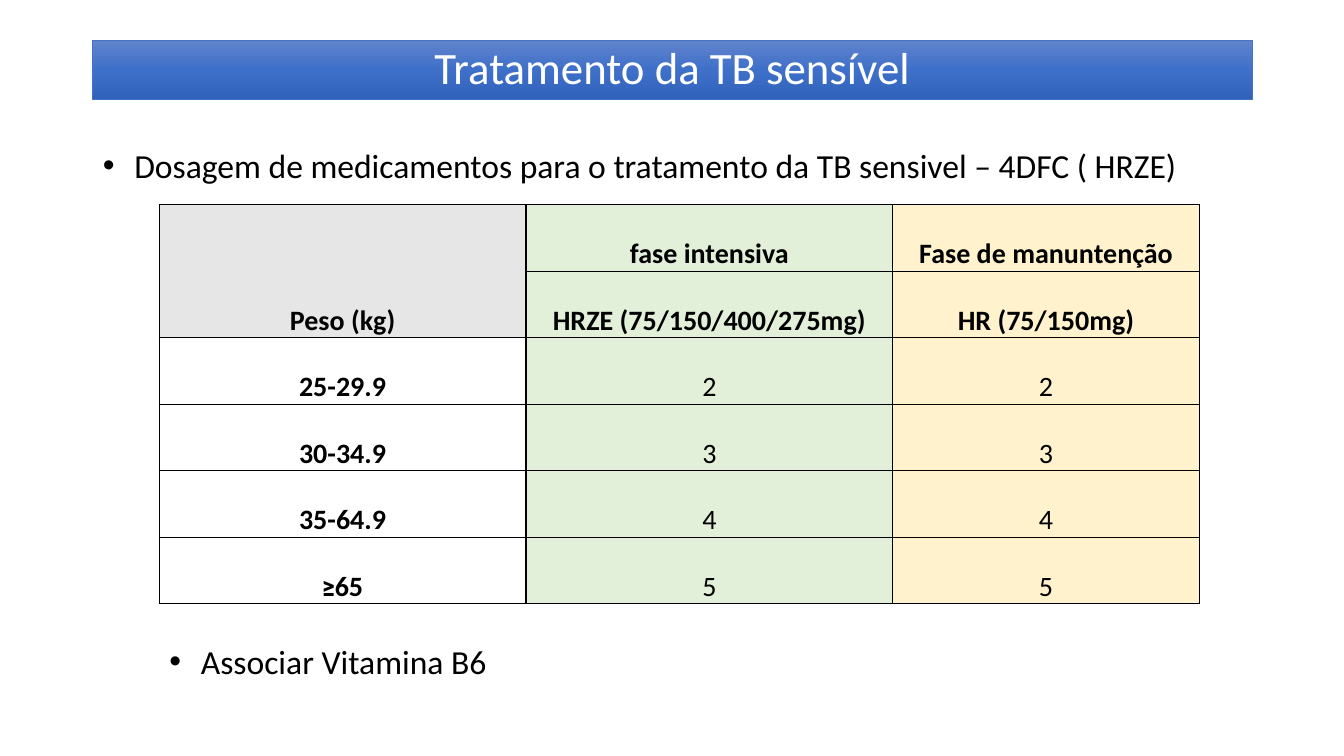
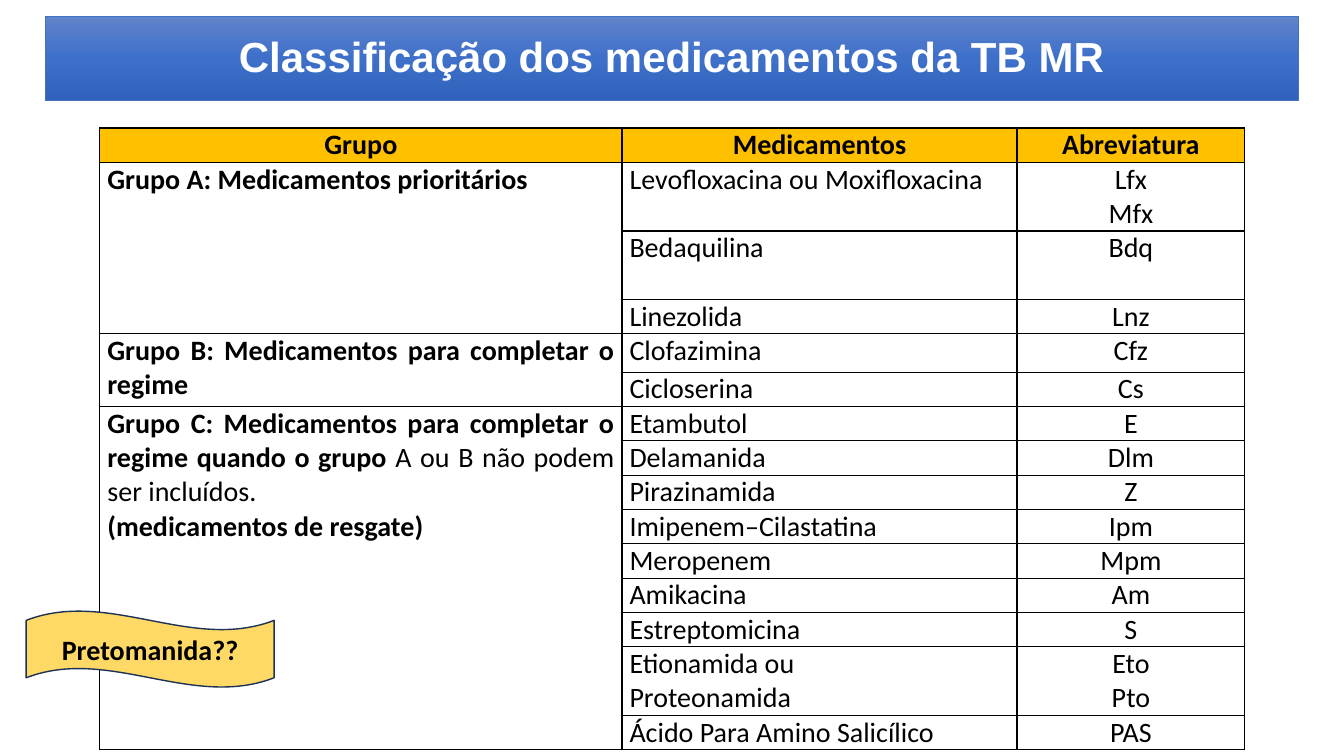
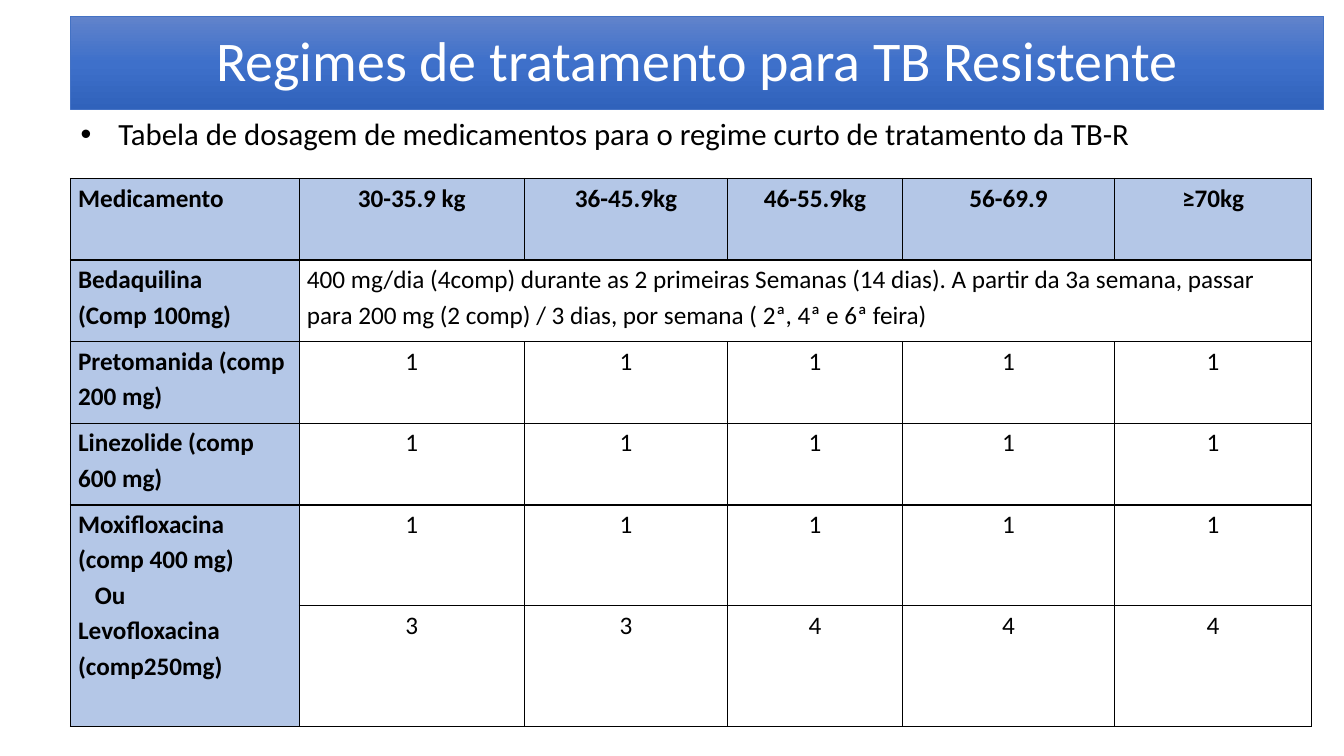
from copy import deepcopy

from lxml import etree
from pptx import Presentation
from pptx.dml.color import RGBColor
from pptx.enum.shapes import MSO_SHAPE
from pptx.enum.text import MSO_ANCHOR, MSO_AUTO_SIZE, PP_ALIGN
from pptx.oxml.ns import qn
from pptx.util import Pt

LEFT, CENTER, JUSTIFY = PP_ALIGN.LEFT, PP_ALIGN.CENTER, PP_ALIGN.JUSTIFY
TOP, MIDDLE, BOTTOM = MSO_ANCHOR.TOP, MSO_ANCHOR.MIDDLE, MSO_ANCHOR.BOTTOM
NO_FIT = MSO_AUTO_SIZE.NONE
WAVE = MSO_SHAPE.WAVE

BLACK = RGBColor(0x00, 0x00, 0x00)
WHITE = RGBColor(0xFF, 0xFF, 0xFF)
BAND_TOP = RGBColor(0x61, 0x83, 0xCB)
BAND_MIDDLE = RGBColor(0x3E, 0x70, 0xCA)
BAND_BOTTOM = RGBColor(0x30, 0x62, 0xBB)
BAND_EDGE = RGBColor(0x44, 0x72, 0xC4)
GREY = RGBColor(0xE7, 0xE6, 0xE6)
GREEN = RGBColor(0xE2, 0xEF, 0xD9)
CREAM = RGBColor(0xFF, 0xF2, 0xCC)
GOLD = RGBColor(0xFF, 0xC0, 0x00)
PALE_BLUE = RGBColor(0xB4, 0xC7, 0xE7)
WAVE_YELLOW = RGBColor(0xFF, 0xD9, 0x66)
WAVE_EDGE = RGBColor(0x1E, 0x32, 0x56)

BODY_FONT = "Calibri"
CELL_MARGINS = {"margin_left": Pt(5.4), "margin_right": Pt(5.4), "margin_top": 0, "margin_bottom": 0}


def apply(target, **values):
    for name, value in values.items():
        setattr(target, name, value)


def add_grid(slide, left, top, columns, heights, rows, spans, size, header_rows=1, anchor=TOP, **spacing):
    widths = [column[0] for column in columns]
    grid = slide.shapes.add_table(len(rows), len(columns), Pt(left), Pt(top), Pt(sum(widths)), Pt(sum(heights))).table
    apply(grid, first_row=False, horz_banding=False)
    for column, width in zip(grid.columns, widths):
        column.width = Pt(width)
    for row, height in zip(grid.rows, heights):
        row.height = Pt(height)
    for r, texts in enumerate(rows):
        for c, (_, head_fill, body_fill, head_align, body_align) in enumerate(columns):
            cell = grid.cell(r, c)
            is_head = r < header_rows
            apply(cell, vertical_anchor=anchor, **CELL_MARGINS)
            for side in ("a:lnL", "a:lnR", "a:lnT", "a:lnB"):
                border = etree.SubElement(cell._tc.get_or_add_tcPr(), qn(side), w=str(Pt(1)))
                ink = etree.SubElement(border, qn("a:solidFill"))
                etree.SubElement(ink, qn("a:srgbClr"), val=str(BLACK))
            fill = head_fill if is_head else body_fill
            if fill is None:
                cell.fill.background()
            else:
                cell.fill.solid()
                cell.fill.fore_color.rgb = fill
            if c >= len(texts) or not texts[c]:
                continue
            for p, line in enumerate(texts[c].split("\n")):
                paragraph = cell.text_frame.add_paragraph() if p else cell.text_frame.paragraphs[0]
                apply(paragraph, alignment=head_align if is_head else body_align, **spacing)
                bold = is_head or c == 0
                for part in line.split("|"):
                    run = paragraph.add_run()
                    run.text = part
                    apply(run.font, name=BODY_FONT, size=Pt(size), bold=bold)
                    run.font.color.rgb = BLACK
                    bold = not bold
    for first, last in spans:
        grid.cell(*first).merge(grid.cell(*last))
    return grid


deck = Presentation()
apply(deck, slide_width=Pt(960), slide_height=Pt(540))

pages = [
    {
        "layout": 3,
        "title": "Tratamento da TB sensível",
        "band": (66.24, 28.8, 828, 42.48),
        "font": {"name": BODY_FONT, "size": Pt(32), "bold": False},
        "bullets": [
            ("Dosagem de medicamentos para o tratamento da TB sensivel – 4DFC ( HRZE)",
             (66.24, 100.08, 804.96, 40), 24, 22.5),
            ("Associar Vitamina B6", (113.76, 454.32, 568.8, 36), 24, 22.5),
        ],
    },
    {
        "layout": 5,
        "title": "Classificação dos medicamentos da TB MR",
        "band": (32.4, 11.52, 895, 60.48),
        "font": {"name": "Arial", "size": Pt(30), "bold": True},
        "bullets": [],
    },
    {
        "layout": 1,
        "title": "Regimes de tratamento para TB Resistente",
        "band": (50.4, 11.52, 895, 66.96),
        "font": {"name": BODY_FONT, "size": Pt(40), "bold": False},
        "bullets": [
            ("Tabela de dosagem de medicamentos para o regime curto de tratamento da TB-R",
             (50.4, 78.48, 895, 33.84), 22, 27),
        ],
    },
]

slides = []
for page in pages:
    slide = deck.slides.add_slide(deck.slide_layouts[page["layout"]])
    slides.append(slide)
    heading = slide.shapes.title
    apply(heading, **dict(zip(("left", "top", "width", "height"), map(Pt, page["band"]))))
    heading.fill.gradient()
    heading.fill.gradient_angle = 270
    stops = heading._element.spPr.find(qn("a:gradFill")).find(qn("a:gsLst"))
    stops.append(deepcopy(stops[-1]))
    for stop, position, color in zip(heading.fill.gradient_stops, (0, 0.5, 1), (BAND_TOP, BAND_MIDDLE, BAND_BOTTOM)):
        stop.position = position
        stop.color.rgb = color
    heading.line.color.rgb = BAND_EDGE
    heading.line.width = Pt(0.5)
    heading.text_frame.text = page["title"]
    apply(heading.text_frame, auto_size=NO_FIT, vertical_anchor=MIDDLE, word_wrap=True)
    headline = heading.text_frame.paragraphs[0]
    apply(headline, alignment=CENTER, line_spacing=0.9)
    apply(headline.runs[0].font, **page["font"])
    headline.runs[0].font.color.rgb = WHITE

    for idx, (text, box, size, indent) in enumerate(page["bullets"], 1):
        note = slide.placeholders[idx]
        apply(note, **dict(zip(("left", "top", "width", "height"), map(Pt, box))))
        note.text_frame.text = text
        apply(note.text_frame, auto_size=NO_FIT, vertical_anchor=TOP, word_wrap=True)
        item = note.text_frame.paragraphs[0]
        item.space_before = Pt(0)
        properties = item._p.get_or_add_pPr()
        properties.set("marL", str(Pt(indent)))
        properties.set("indent", str(-Pt(indent)))
        etree.SubElement(properties, qn("a:buChar"), char="•")
        apply(item.runs[0].font, name=BODY_FONT, size=Pt(size))
        item.runs[0].font.color.rgb = BLACK

sensitive, classification, resistant = slides

doses = add_grid(
    sensitive, 113.76, 146.16,
    [
        (262, GREY, None, CENTER, CENTER),
        (262, GREEN, GREEN, CENTER, CENTER),
        (219, CREAM, CREAM, CENTER, CENTER),
    ],
    [47.52] * 6,
    [
        ["Peso (kg)", "fase intensiva", "Fase de manuntenção"],
        ["", "HRZE (75/150/400/275mg)", "HR (75/150mg)"],
        ["25-29.9", "2", "2"],
        ["30-34.9", "3", "3"],
        ["35-64.9", "4", "4"],
        ["≥|65", "5", "5"],
    ],
    [((0, 0), (1, 0))],
    20, header_rows=2, anchor=BOTTOM, line_spacing=1.2, space_after=Pt(10),
)
sign, limit = doses.cell(5, 0).text_frame.paragraphs[0].runs
sign.font.name = "Roboto Condensed"
limit.font.bold = True

ONE_LINE, TWO_LINES = 24.5, 49
add_grid(
    classification, 71.28, 91.44,
    [
        (373, GOLD, None, CENTER, JUSTIFY),
        (282.2, GOLD, None, CENTER, LEFT),
        (162.7, GOLD, None, CENTER, CENTER),
    ],
    [ONE_LINE, TWO_LINES, TWO_LINES, ONE_LINE, 27.36] + [ONE_LINE] * 8 + [TWO_LINES, ONE_LINE],
    [
        ["Grupo", "Medicamentos", "Abreviatura"],
        ["Grupo A: Medicamentos prioritários", "Levofloxacina ou Moxifloxacina", "Lfx\nMfx"],
        ["", "Bedaquilina", "Bdq"],
        ["", "Linezolida", "Lnz"],
        ["Grupo B: Medicamentos para completar o regime", "Clofazimina", "Cfz"],
        ["", "Cicloserina", "Cs"],
        ["Grupo C: Medicamentos para completar o regime quando o grupo |A ou B não podem ser incluídos."
         "\n(medicamentos de resgate)", "Etambutol", "E"],
        ["", "Delamanida", "Dlm"],
        ["", "Pirazinamida", "Z"],
        ["", "Imipenem–Cilastatina", "Ipm"],
        ["", "Meropenem", "Mpm"],
        ["", "Amikacina", "Am"],
        ["", "Estreptomicina", "S"],
        ["", "Etionamida ou\nProteonamida", "Eto\nPto"],
        ["", "Ácido Para Amino Salicílico", "PAS"],
    ],
    [((1, 0), (3, 0)), ((4, 0), (5, 0)), ((6, 0), (14, 0))],
    20,
)

pretomanid = classification.shapes.add_shape(WAVE, Pt(18.72), Pt(436.32), Pt(177.12), Pt(54.72))
pretomanid.shadow.inherit = False
pretomanid.fill.solid()
pretomanid.fill.fore_color.rgb = WAVE_YELLOW
pretomanid.line.color.rgb = WAVE_EDGE
pretomanid.line.width = Pt(1)
pretomanid.text_frame.text = "Pretomanida??"
pretomanid.text_frame.vertical_anchor = MIDDLE
question = pretomanid.text_frame.paragraphs[0]
question.alignment = CENTER
apply(question.runs[0].font, name=BODY_FONT, size=Pt(20), bold=True)
question.runs[0].font.color.rgb = BLACK

regimen = add_grid(
    resistant, 50.4, 127.44,
    [(163.5, PALE_BLUE, PALE_BLUE, LEFT, LEFT)]
    + [(width, PALE_BLUE, None, CENTER, CENTER) for width in (160.6, 145.4, 124.6, 151.9, 140.4)],
    [58.32] * 4 + [72, 86.4],
    [
        ["Medicamento", "30-35.9 kg", "36-45.9kg", "46-55.9kg", "56-69.9", "≥70kg"],
        ["Bedaquilina\n(Comp 100mg)",
         "400 mg/dia (4comp) durante as 2 primeiras Semanas (14 dias). A partir da 3a semana, passar "
         "para 200 mg (2 comp) / 3 dias, por semana ( 2ª, 4ª e 6ª feira)"],
        ["Pretomanida (comp 200 mg)"] + ["1"] * 5,
        ["Linezolide (comp 600 mg)"] + ["1"] * 5,
        ["Moxifloxacina (comp 400 mg)\nOu\nLevofloxacina (comp250mg)"] + ["1"] * 5,
        ["", "3", "3", "4", "4", "4"],
    ],
    [((1, 1), (1, 5)), ((4, 0), (5, 0))],
    18, line_spacing=1.15,
)
regimen.cell(1, 1).text_frame.paragraphs[0].alignment = LEFT
alternative = regimen.cell(4, 0).text_frame.paragraphs[1]
alternative._p.get_or_add_pPr().set("marL", str(Pt(12)))

deck.save("out.pptx")
